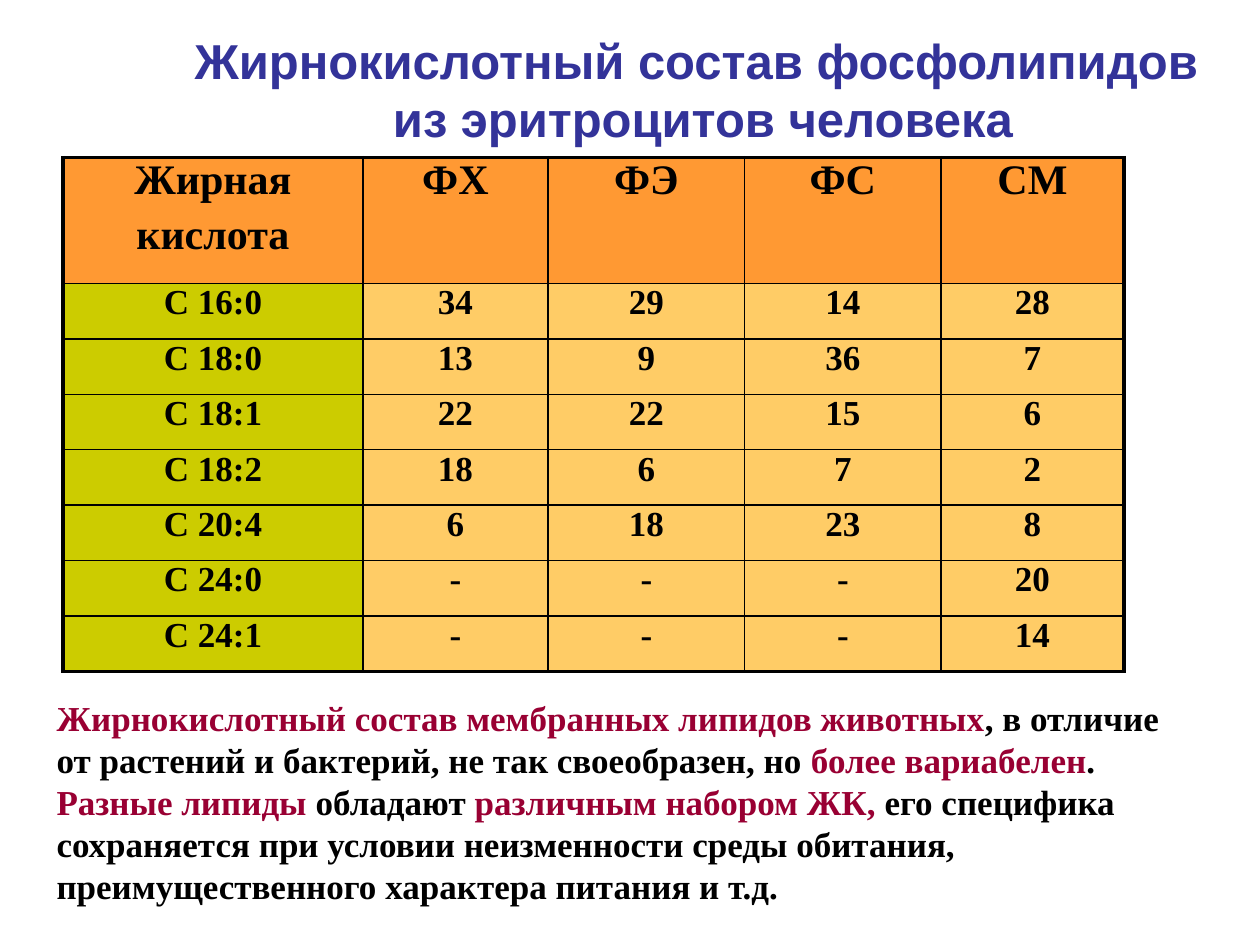
from dataclasses import dataclass

from lxml import etree
from pptx import Presentation
from pptx import util as u
from pptx.dml.color import RGBColor
from pptx.enum import text
from pptx.oxml.ns import qn


@dataclass(frozen=True)
class Theme:
    heading_font: str = "Arial"
    body_font: str = "Times New Roman"
    title_size: float = 28
    header_size: float = 24
    body_size: float = 20
    title: str = "333399"
    ink: str = "000000"
    accent: str = "990033"
    header_fill: str = "FF9933"
    acid_fill: str = "CCCC00"
    value_fill: str = "FFCC66"
    outer_line: float = 2.25
    inner_line: float = 1


THEME = Theme()
WIDTH, HEIGHT = 10, 7.5

TITLE = "Жирнокислотный состав фосфолипидов \vиз эритроцитов человека"
HEADER = ["Жирная\nкислота", "ФХ", "ФЭ", "ФС", "СМ"]
ACIDS = [
    ("С 16:0", 34, 29, 14, 28),
    ("C 18:0", 13, 9, 36, 7),
    ("C 18:1", 22, 22, 15, 6),
    ("C 18:2", 18, 6, 7, 2),
    ("C 20:4", 6, 18, 23, 8),
    ("C 24:0", "-", "-", "-", 20),
    ("C 24:1", "-", "-", "-", 14),
]
# Each line is a list of (words, is accented).
CONCLUSION = [
    [("Жирнокислотный состав мембранных липидов животных", True), (", в отличие", False)],
    [("от растений и бактерий, не так своеобразен, но ", False),
     ("более вариабелен", True), (".", False)],
    [("Разные липиды", True), (" обладают ", False),
     ("различным набором ЖК,", True), (" его специфика", False)],
    [("сохраняется при условии неизменности среды обитания,", False)],
    [("преимущественного характера питания и т.д.", False)],
]

TITLE_AREA = (1.08, 0.08, 9, 1.25)
CONCLUSION_AREA = (0.35, 5.48, 9.02, 1.77)
TABLE_LEFT, TABLE_TOP = WIDTH * 0.05, HEIGHT / 6
COLUMN_WIDTHS = [2.38, 1.47, 1.56, 1.56, 1.45]
ROW_HEIGHTS = [1] + [0.44] * len(ACIDS)


def style(paragraph, font, size, color):
    paragraph.font.name = font
    paragraph.font.size = u.Pt(size)
    paragraph.font.bold = True
    paragraph.font.color.rgb = RGBColor.from_string(color)


def add_box(page, area):
    box = page.shapes.add_textbox(*(u.Inches(length) for length in area))
    box.text_frame.word_wrap = True
    return box.text_frame


def add_title(page):
    frame = add_box(page, TITLE_AREA)
    frame.vertical_anchor = text.MSO_ANCHOR.MIDDLE
    para = frame.paragraphs[0]
    para.text = TITLE
    para.alignment = text.PP_ALIGN.CENTER
    style(para, THEME.heading_font, THEME.title_size, THEME.title)


def set_borders(cell, widths):
    """Draw cell borders; widths are in points, for left, right, top, bottom."""
    properties = cell._tc.get_or_add_tcPr()
    for side, width in zip("LRTB", widths):
        line = etree.SubElement(properties, qn(f"a:ln{side}"), w=str(u.Pt(width)))
        fill = etree.SubElement(line, qn("a:solidFill"))
        etree.SubElement(fill, qn("a:srgbClr"), val=THEME.ink)


def fill_cell(cell, words, size, fill):
    cell.margin_left = cell.margin_right = cell.margin_top = cell.margin_bottom = 0
    cell.text = str(words)
    for index, para in enumerate(cell.text_frame.paragraphs):
        para.alignment = text.PP_ALIGN.CENTER
        if index:
            para.space_before = u.Pt(size * 0.2)
        style(para, THEME.body_font, size, THEME.ink)
    cell.fill.solid()
    cell.fill.fore_color.rgb = RGBColor.from_string(fill)


def add_acid_table(page):
    rows = [HEADER, *ACIDS]
    last_row, last_column = len(rows) - 1, len(HEADER) - 1
    table = page.shapes.add_table(
        len(rows), len(HEADER), u.Inches(TABLE_LEFT), u.Inches(TABLE_TOP),
        u.Inches(sum(COLUMN_WIDTHS)), u.Inches(sum(ROW_HEIGHTS))).table
    for column, width in zip(table.columns, COLUMN_WIDTHS):
        column.width = u.Inches(width)
    for row, height in zip(table.rows, ROW_HEIGHTS):
        row.height = u.Inches(height)

    for r, values in enumerate(rows):
        for c, value in enumerate(values):
            cell = table.cell(r, c)
            on_edge = (c == 0, c == last_column, r == 0, r == last_row)
            set_borders(cell, [THEME.outer_line if edge else THEME.inner_line
                               for edge in on_edge])
            if r == 0:
                fill_cell(cell, value, THEME.header_size, THEME.header_fill)
            else:
                fill = THEME.value_fill if c else THEME.acid_fill
                fill_cell(cell, value, THEME.body_size, fill)


def add_conclusion(page):
    frame = add_box(page, CONCLUSION_AREA)
    for index, line in enumerate(CONCLUSION):
        para = frame.add_paragraph() if index else frame.paragraphs[0]
        style(para, THEME.body_font, THEME.body_size, THEME.ink)
        for words, accented in line:
            span = para.add_run()
            span.text = words
            if accented:
                span.font.color.rgb = RGBColor.from_string(THEME.accent)


def main():
    deck = Presentation()
    deck.slide_width, deck.slide_height = u.Inches(WIDTH), u.Inches(HEIGHT)
    page = deck.slides.add_slide(deck.slide_layouts[6])
    add_title(page)
    add_acid_table(page)
    add_conclusion(page)
    deck.save("out.pptx")


if __name__ == "__main__":
    main()
